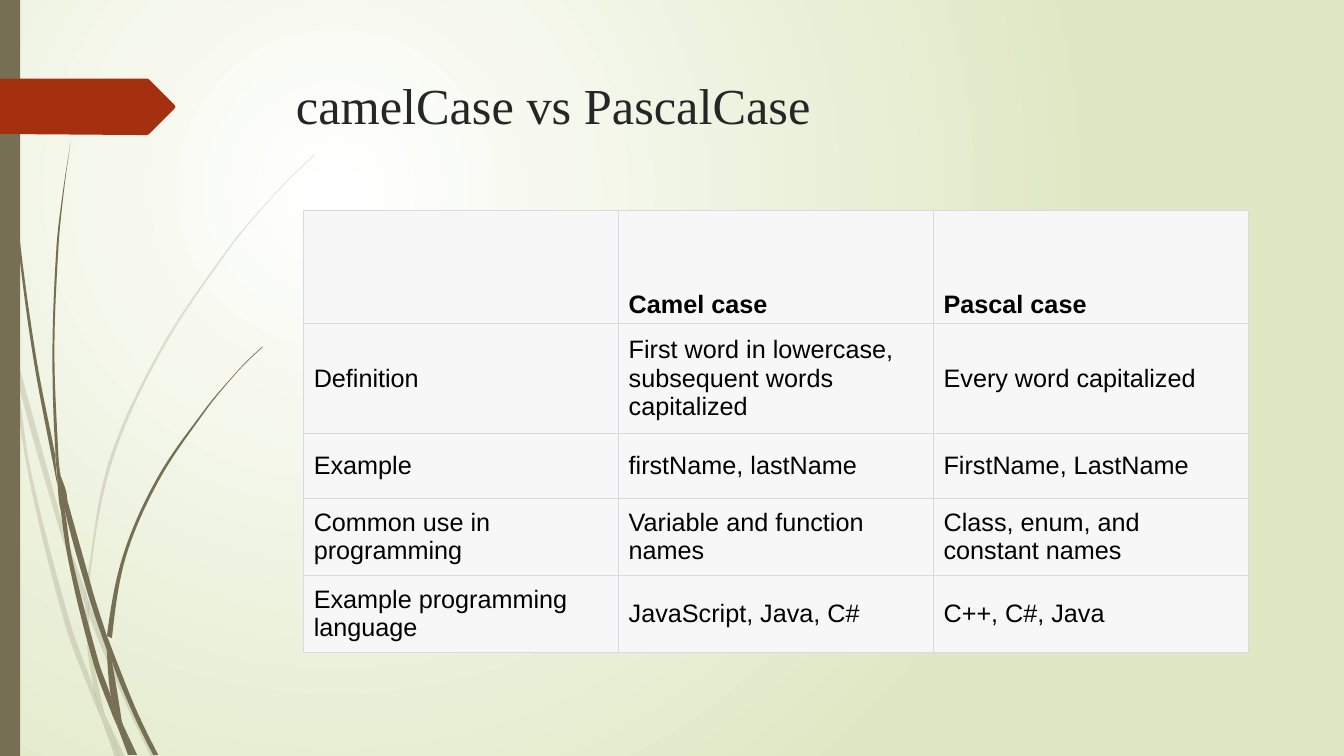
from dataclasses import dataclass
from itertools import pairwise
from math import dist, hypot
from pptx import Presentation, util as u
from pptx.dml.color import RGBColor
from pptx.enum import shapes, text
from pptx.oxml import parse_xml
from pptx.oxml.ns import nsdecls, qn

# The slide is a fine grid of 1333 columns by 750 rows, each 0.01 inch.
COLUMNS, ROWS = 1333, 750
UNIT = u.Inches(0.01)

# Each blade is built of sections: (one edge, the other edge back to the start).
PALE_BLADES = [
    ([(11, 350), (9, 322), (0, 282)], [(0, 299), (10, 344), (11, 350)]),
    ([(14, 345), (17, 376), (58, 522), (84, 599)], [(85, 586), (62, 520), (14, 345)]),
    ([(88, 596), (88, 610), (123, 694), (150, 751)], [(155, 751), (127, 692), (92, 607), (88, 596)]),
    ([(105, 711), (119, 751)], [(124, 751), (105, 711)]),
    ([(11, 350), (28, 470), (65, 621), (92, 693), (101, 714)],
     [(99, 707), (93, 683), (70, 619), (31, 469), (17, 376), (11, 350)]),
    ([(84, 599), (87, 646), (93, 683), (96, 692), (105, 711)],
     [(103, 706), (91, 646), (88, 610), (88, 608), (84, 599)]),
    ([(88, 584), (110, 462), (160, 349), (229, 245), (268, 198), (290, 175), (312, 154)],
     [(312, 153), (289, 175), (268, 197), (228, 244), (158, 348), (107, 461), (85, 584),
      (85, 586), (88, 596)]),
    ([(101, 714), (114, 751)], [(119, 751), (101, 714)]),
    ([(88, 608), (88, 610), (88, 596)], [(85, 586), (84, 599), (88, 608)]),
    ([(93, 683), (99, 707), (101, 714), (119, 751)], [(119, 751), (105, 711), (96, 692), (93, 683)]),
]
DARK_BLADES = [
    ([(7, 110), (17, 233), (33, 355), (56, 477), (57, 481)],
     [(55, 457), (55, 453), (36, 355), (19, 232), (8, 109), (5, 48), (4, 0), (3, 0),
      (4, 48), (7, 110)]),
    ([(60, 472), (64, 505), (88, 592), (106, 645)],
     [(106, 633), (106, 631), (93, 590), (60, 472)]),
    ([(110, 641), (111, 656), (132, 708), (152, 749)], [(157, 749), (136, 706), (113, 649), (110, 641)]),
    ([(57, 477), (68, 557), (93, 659), (111, 708), (117, 722)],
     [(116, 717), (110, 691), (98, 657), (72, 556), (64, 505), (57, 477)]),
    ([(60, 472), (58, 453), (54, 349), (58, 245), (63, 193), (70, 141)],
     [(70, 141), (62, 193), (56, 245), (52, 349), (55, 449), (60, 472)]),
    ([(122, 719), (133, 749)], [(136, 749), (122, 719)]),
    ([(57, 477), (64, 505), (60, 472)], [(60, 472), (55, 449), (55, 453), (57, 477)]),
    ([(111, 633), (125, 552), (158, 476), (205, 406), (231, 374), (245, 359), (261, 344)],
     [(260, 344), (245, 358), (231, 373), (204, 405), (156, 474), (122, 551), (106, 631),
      (110, 641)]),
    ([(117, 722), (127, 749)], [(131, 749), (117, 722)]),
    ([(106, 645), (110, 691), (116, 706), (122, 719)],
     [(121, 716), (111, 656), (109, 651), (106, 645)]),
    ([(106, 645), (109, 651), (111, 656)], [(110, 641), (106, 631), (106, 633), (106, 645)]),
    ([(110, 691), (116, 717), (117, 722), (130, 749)], [(133, 749), (122, 719), (116, 706), (110, 691)]),
]
MARKER = [(173, 108), (148, 133), (146, 134), (136, 134), (0, 133), (0, 78),
          (146, 78), (148, 79), (173, 104), (174, 106)]

ROW_HEIGHTS = [112.5, 109, 64.5, 76.5, 76.5]
CASE_ROWS = [
    ["", "Camel case", "Pascal case"],
    ["Definition", "First word in lowercase, subsequent words capitalized",
     "Every word capitalized"],
    ["Example", "firstName, lastName", "FirstName, LastName"],
    ["Common use in programming", "Variable and function names",
     "Class, enum, and constant names"],
    ["Example programming language", "JavaScript, Java, C#", "C++, C#, Java"],
]


def colour(code):
    return RGBColor.from_string(code)


def grid(*counts):
    return [u.Emu(round(count * UNIT)) for count in counts]


def controls(knots):
    """Yield the two control points of each span of a smooth curve through the knots."""
    padded = [knots[0], *knots, knots[-1]]
    for i, (start, end) in enumerate(pairwise(knots)):
        reach = dist(start, end) / 3
        pair = []
        for knot, before, after, sign in ((start, padded[i], end, 1),
                                          (end, start, padded[i + 3], -1)):
            run, rise = after[0] - before[0], after[1] - before[1]
            scale = sign * reach / (hypot(run, rise) or 1)
            pair.append((knot[0] + run * scale, knot[1] + rise * scale))
        first, second = pair
        if i == 0:
            first = tuple((a + b) / 2 for a, b in zip(start, second))
        if i == len(knots) - 2:
            second = tuple((a + b) / 2 for a, b in zip(end, first))
        yield first, second


@dataclass
class Painter:
    page: object
    olive: str = "766F54"
    red: str = "A53010"
    ink: str = "262626"
    cell_fill: str = "F7F7F8"
    cell_line: str = "D9D9E3"
    title_font: str = "Times New Roman"
    table_font: str = "Arial"

    def background(self, centre, edge):
        """Fill the page with a circular gradient centred in the upper left."""
        fill = self.page.background.fill
        fill.gradient()
        for stop, code in zip(fill.gradient_stops, (centre, edge)):
            stop.color.rgb = colour(code)
        gradient = self.page.element.find(".//" + qn("a:gradFill"))
        gradient.replace(gradient.find(qn("a:lin")), parse_xml(
            f'<a:path {nsdecls("a")} path="circle"><a:fillToRect l="50000" '
            't="50000" r="100000" b="100000"/></a:path>'))

    def paint(self, shape, code, alpha=100):
        shape.shadow.inherit = False
        shape.fill.solid()
        shape.fill.fore_color.rgb = colour(code)
        shape.line.fill.background()
        if alpha < 100:
            shape.element.spPr.find(".//" + qn("a:srgbClr")).append(
                parse_xml(f'<a:alpha {nsdecls("a")} val="{alpha * 1000}"/>'))

    def outline(self, points, code, alpha=100):
        corners = [grid(*point) for point in points]
        builder = self.page.shapes.build_freeform(*corners[0])
        builder.add_line_segments(corners[1:], close=True)
        shape = builder.convert_to_shape()
        self.paint(shape, code, alpha)
        return shape

    def blade(self, edge, back, alpha=100):
        """Draw a section, turning the straight spans of both edges into curves."""
        points = edge + back[:-1]
        shape = self.outline(points, self.olive, alpha)
        spans = list(controls(edge)) + [(edge[-1], back[0])] + list(controls(back))
        lines = list(shape.element.iter(qn("a:lnTo")))
        for line, pair, end in zip(lines, spans, points[1:]):
            marks = "".join(
                f'<a:pt x="{x - shape.left}" y="{y - shape.top}"/>'
                for x, y in (grid(*point) for point in (*pair, end)))
            line.getparent().replace(line, parse_xml(
                f'<a:cubicBezTo {nsdecls("a")}>{marks}</a:cubicBezTo>'))

    def style(self, frame, font, size, code, bold=False):
        for para in frame.paragraphs:
            para.alignment = text.PP_ALIGN.LEFT
            for span in para.runs:
                span.font.name, span.font.size, span.font.bold = font, u.Pt(size), bold
                span.font.color.rgb = colour(code)

    def title(self, words, place):
        box = self.page.shapes.title
        box.left, box.top, box.width, box.height = grid(*place)
        frame = box.text_frame
        frame.text = words
        frame.word_wrap = True
        frame.auto_size = text.MSO_AUTO_SIZE.NONE
        frame.vertical_anchor = text.MSO_ANCHOR.TOP
        self.style(frame, self.title_font, 36, self.ink)

    def borders(self, cell, width):
        properties = cell._tc.get_or_add_tcPr()
        for index, side in enumerate(("lnL", "lnR", "lnT", "lnB")):
            properties.insert(index, parse_xml(
                f'<a:{side} {nsdecls("a")} w="{u.Pt(width)}"><a:solidFill>'
                f'<a:srgbClr val="{self.cell_line}"/></a:solidFill></a:{side}>'))

    def table(self, rows, heights, left, top, column_width):
        size = (column_width * len(rows[0]), sum(heights))
        table = self.page.shapes.add_table(
            len(rows), len(rows[0]), *grid(left, top, *size)).table
        table.first_row = table.horz_banding = False
        for column in table.columns:
            column.width = grid(column_width)[0]
        for row, height, words in zip(table.rows, heights, rows):
            row.height = grid(height)[0]
            heading = words is rows[0]
            for cell, entry in zip(row.cells, words):
                cell.text = entry
                cell.vertical_anchor = (
                    text.MSO_ANCHOR.BOTTOM if heading else text.MSO_ANCHOR.MIDDLE)
                cell.fill.solid()
                cell.fill.fore_color.rgb = colour(self.cell_fill)
                self.borders(cell, 0.6)
                self.style(cell.text_frame, self.table_font, 18, "000000", heading)


def main():
    deck = Presentation()
    deck.slide_width, deck.slide_height = grid(COLUMNS, ROWS)
    painter = Painter(deck.slides.add_slide(deck.slide_layouts.get_by_name("Title Only")))
    painter.background("FFFFFF", "DFE8C4")
    for blades, alpha in ((PALE_BLADES, 20), (DARK_BLADES, 100)):
        for edge, back in blades:
            painter.blade(edge, back, alpha)
    bar = painter.page.shapes.add_shape(shapes.MSO_SHAPE.RECTANGLE, *grid(0, 0, 20, ROWS))
    painter.paint(bar, painter.olive)
    painter.outline(MARKER, painter.red)
    painter.title("camelCase vs PascalCase", (283.5, 68.7, 975, 140))
    painter.table(CASE_ROWS, ROW_HEIGHTS, left=301.2, top=208.4, column_width=312.4)
    deck.save("out.pptx")


if __name__ == "__main__":
    main()
